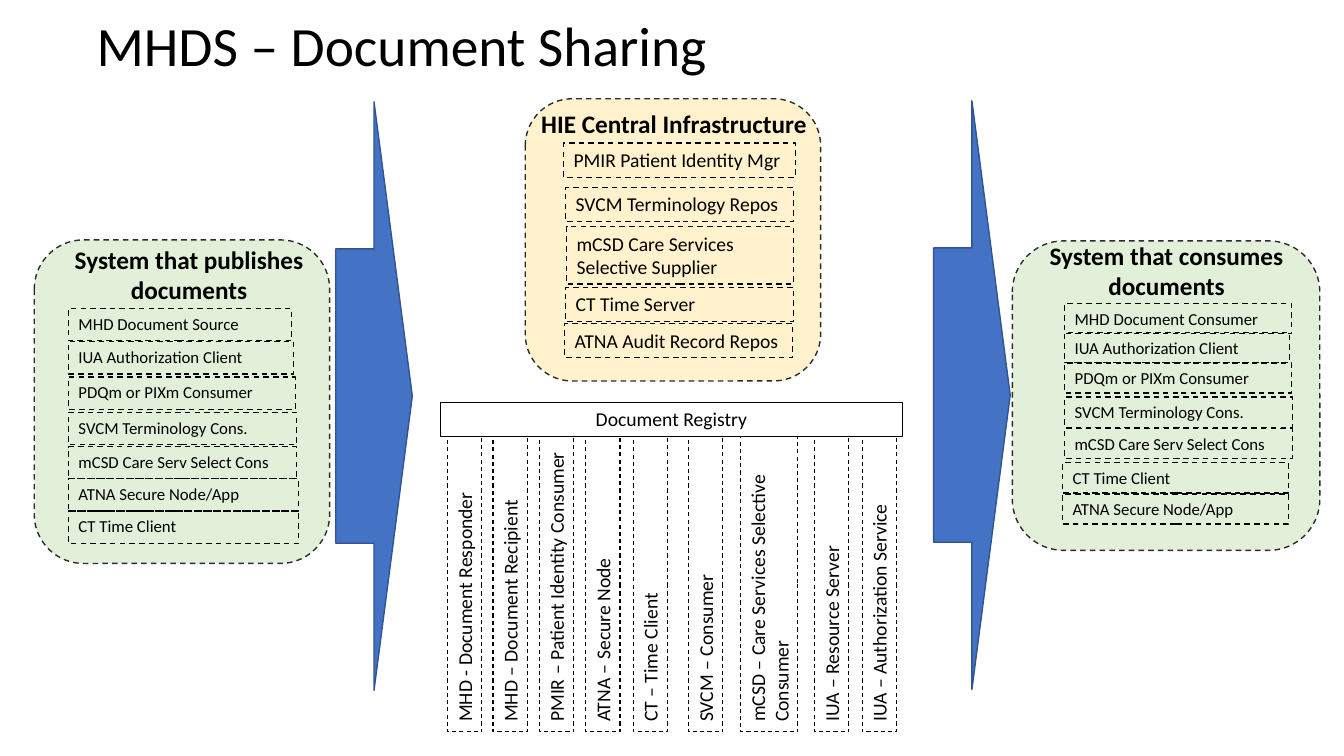
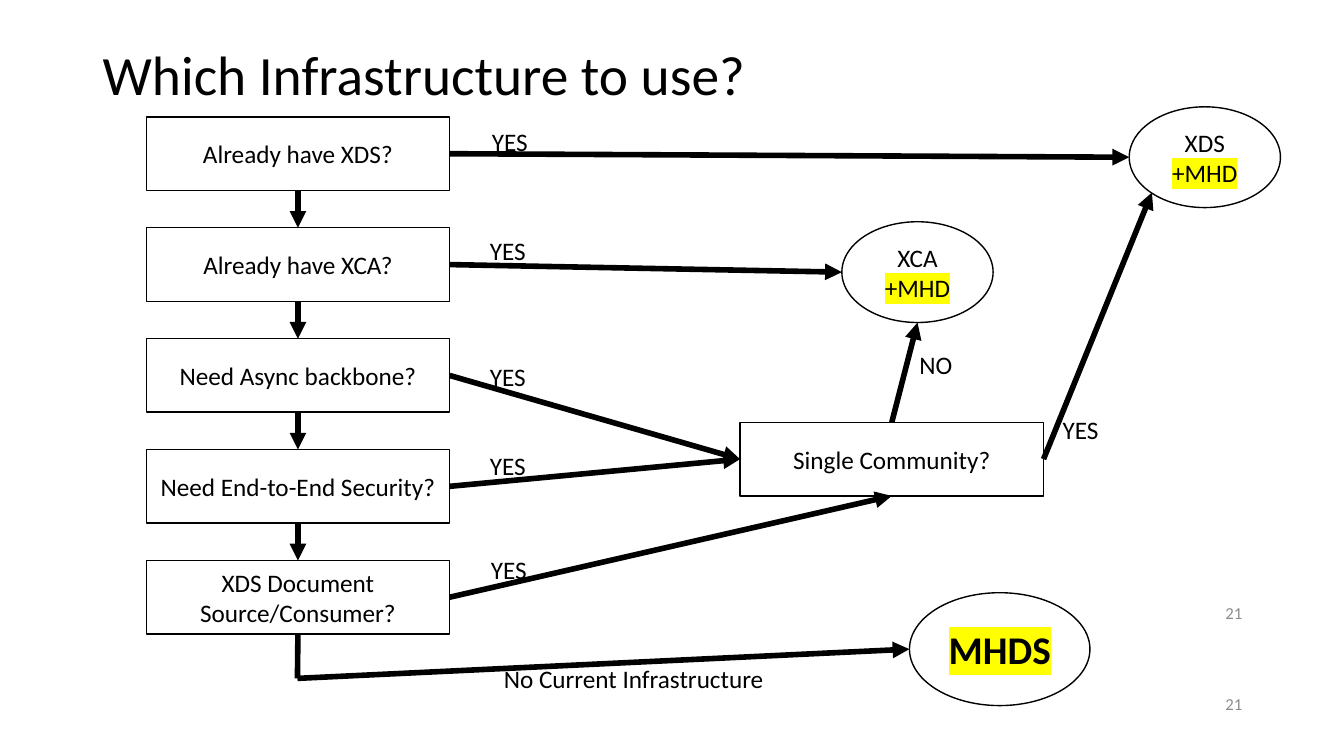
import dataclasses
import lxml.etree
import pptx
import pptx.dml.color
import pptx.enum.dml
import pptx.enum.shapes
import pptx.enum.text
import pptx.oxml.ns
import pptx.util

Inches = pptx.util.Inches
KIND = pptx.enum.shapes.MSO_SHAPE
ALIGN = pptx.enum.text.PP_ALIGN
ANCHOR = pptx.enum.text.MSO_ANCHOR
qn = pptx.oxml.ns.qn


@dataclasses.dataclass(frozen=True)
class Theme:
    """Holds the colours, font and type sizes of the deck."""
    font: str = "Calibri"
    ink: str = "000000"
    paper: str = "FFFFFF"
    grey: str = "8C8C8C"
    green: str = "E2F0D9"
    cream: str = "FFF2CC"
    blue: str = "4472C4"
    navy: str = "325491"
    mark: str = "FFFF00"
    title: float = 39.6
    large: int = 28
    head: int = 18
    item: int = 14
    small: int = 12


THEME = Theme()
RECT_SITES = {"top": (0, 0.5, 0), "left": (1, 0, 0.5), "base": (2, 0.5, 1), "right": (3, 1, 0.5)}
OVAL_SITES = {"left": (2, 0, 0.5), "low": (3, 0.15, 0.85), "base": (4, 0.5, 1)}


def paint(hue):
    """Turn a hex string into a colour."""
    return pptx.dml.color.RGBColor.from_string(hue)


def style(run, size, bold=False, hue=THEME.ink, glow=False):
    """Format one run, with a highlight if asked."""
    run.font.size = pptx.util.Pt(size)
    run.font.bold = bold
    run.font.color.rgb = paint(hue)
    run.font.name = THEME.font
    if glow:
        props = run.font.fill._xPr
        light = lxml.etree.Element(qn("a:highlight"))
        lxml.etree.SubElement(light, qn("a:srgbClr"), val=THEME.mark)
        props.find(qn("a:solidFill")).addnext(light)


def write(shape, text, size, bold=False, hue=THEME.ink, align=ALIGN.LEFT,
          anchor=ANCHOR.TOP, wrap=True):
    """Fill a shape with text in one style."""
    frame = shape.text_frame
    frame.text = text
    frame.word_wrap = wrap
    frame.vertical_anchor = anchor
    for para in frame.paragraphs:
        para.alignment = align
        for run in para.runs:
            style(run, size, bold, hue)


def label(slide, box, text, size=THEME.head, **look):
    """Add a text box."""
    shape = slide.shapes.add_textbox(*map(Inches, box))
    write(shape, text, size, **look)
    return shape


def block(slide, kind, box, fill=None, edge=THEME.ink, width=1, dash=False):
    """Add a preset shape with its fill and edge."""
    shape = slide.shapes.add_shape(kind, *map(Inches, box))
    shape.shadow.inherit = False
    if fill:
        shape.fill.solid()
        shape.fill.fore_color.rgb = paint(fill)
    else:
        shape.fill.background()
    shape.line.color.rgb = paint(edge)
    shape.line.width = pptx.util.Pt(width)
    if dash:
        shape.line.dash_style = pptx.enum.dml.MSO_LINE.DASH
    return shape


def title(slide, box, text):
    """Add the slide title."""
    shape = label(slide, box, text, THEME.title, anchor=ANCHOR.MIDDLE)
    shape.text_frame.paragraphs[0].line_spacing = 0.9


def panel(slide, box, fill, head, rows, size, tall):
    """Draw a rounded panel with a heading and dashed rows placed from its corner."""
    left, top = box[:2]
    shape = block(slide, KIND.ROUNDED_RECTANGLE, box, fill, dash=True)
    tint = shape.line.fill._xPr.find(qn("a:solidFill"))[0]
    lxml.etree.SubElement(tint, qn("a:alpha"), val="81000")
    text, (dx, dy, wide, high), align = head
    label(slide, (left + dx, top + dy, wide, high), text, bold=True, align=align,
          wrap=align == ALIGN.CENTER)
    for text, dx, dy, wide, *high in rows:
        row = block(slide, KIND.RECTANGLE,
                    (left + dx, top + dy, wide, high[0] if high else tall), dash=True)
        write(row, text, size)


def ledger(slide, box, name, roles):
    """Draw the registry bar with upright roles hanging below it."""
    left, top, wide, high = box
    bar = block(slide, KIND.RECTANGLE, box, width=0.75)
    write(bar, name, THEME.item, align=ALIGN.CENTER)
    span = 2.93
    mid = top + high + span / 2
    for text, dx, thick in roles:
        role = block(slide, KIND.RECTANGLE,
                     (left + dx - span / 2, mid - thick / 2, span, thick), width=0.75, dash=True)
        role.rotation = 270
        write(role, text, THEME.item)


def node(slide, box, text):
    """Draw a question box."""
    shape = block(slide, KIND.RECTANGLE, box, THEME.paper)
    write(shape, text, THEME.head, align=ALIGN.CENTER, anchor=ANCHOR.MIDDLE)
    return shape


def goal(slide, box, text, mark, size=THEME.head, bold=False):
    """Draw an oval outcome with a highlighted end."""
    shape = block(slide, KIND.OVAL, box, THEME.paper)
    write(shape, text, size, align=ALIGN.CENTER, anchor=ANCHOR.MIDDLE)
    run = shape.text_frame.paragraphs[0].add_run()
    run.text = mark
    style(run, size, bold, glow=True)
    return shape


def locate(end):
    """Give the point, shape and site of a connector end."""
    shape, side = end
    if isinstance(side, str):
        oval = shape.auto_shape_type == KIND.OVAL
        site, fx, fy = (OVAL_SITES if oval else RECT_SITES)[side]
        return int(shape.left + fx * shape.width), int(shape.top + fy * shape.height), shape, site
    return Inches(shape), Inches(side), None, None


def link(slide, start, stop, head=True):
    """Join two ends, each a shape with a side or a point."""
    ends = locate(start), locate(stop)
    line = slide.shapes.add_connector(pptx.enum.shapes.MSO_CONNECTOR.STRAIGHT,
                                      *ends[0][:2], *ends[1][:2])
    line.line.color.rgb = paint(THEME.ink)
    line.line.width = pptx.util.Pt(4)
    if head:
        lxml.etree.SubElement(line.line._get_or_add_ln(), qn("a:tailEnd"), type="triangle")
    lxml.etree.SubElement(line._element.spPr, qn("a:effectLst"))
    joint = line._element.find(".//" + qn("p:cNvCxnSpPr"))
    for tag, (_, _, shape, site) in zip(("a:stCxn", "a:endCxn"), ends):
        if shape is not None:
            lxml.etree.SubElement(joint, qn(tag), id=str(shape.shape_id), idx=str(site))


def share(slide):
    """Build the document sharing slide."""
    panel(slide, (5.21, 0.98, 2.93, 2.8), THEME.cream,
          ("HIE Central Infrastructure", (0.06, 0.05, 2.86, 0.4), ALIGN.LEFT),
          [("PMIR Patient Identity Mgr", 0.38, 0.44, 2.3),
           ("SVCM Terminology Repos", 0.4, 0.88, 2.26),
           ("mCSD Care Services Selective Supplier", 0.41, 1.27, 2.25, 0.57),
           ("CT Time Server", 0.4, 1.87, 2.26),
           ("ATNA Audit Record Repos", 0.39, 2.23, 2.26)], THEME.item, 0.34)
    panel(slide, (0.34, 2.38, 2.93, 3.21), THEME.green,
          ("System that publishes documents", (-0.16, -0.01, 3.39, 0.71), ALIGN.CENTER),
          [("MHD Document Source", 0.34, 0.68, 2.21),
           ("IUA Authorization Client", 0.34, 1.01, 2.23),
           ("PDQm or PIXm Consumer", 0.34, 1.36, 2.25),
           ("SVCM Terminology Cons.", 0.34, 1.71, 2.26),
           ("mCSD Care Serv Select Cons", 0.34, 2.05, 2.26),
           ("ATNA Secure Node/App", 0.34, 2.37, 2.28),
           ("CT Time Client", 0.34, 2.69, 2.28)], THEME.small, 0.32)
    panel(slide, (10.04, 2.39, 3.05, 3.07), THEME.green,
          ("System that consumes\ndocuments", (-0.05, -0.06, 3.16, 0.71), ALIGN.CENTER),
          [("MHD Document Consumer", 0.52, 0.62, 2.25),
           ("IUA Authorization Client", 0.52, 0.91, 2.23),
           ("PDQm or PIXm Consumer", 0.52, 1.21, 2.25),
           ("SVCM Terminology Cons.", 0.52, 1.55, 2.26),
           ("mCSD Care Serv Select Cons", 0.52, 1.86, 2.26),
           ("CT Time Client", 0.5, 2.2, 2.24),
           ("ATNA Secure Node/App", 0.5, 2.51, 2.24)], THEME.small, 0.3)
    ledger(slide, (4.37, 3.99, 4.58, 0.34), "Document Registry",
           [("MHD - Document Responder", 0.24, 0.34),
            ("MHD – Document Recipient", 0.69, 0.34),
            ("PMIR – Patient Identity Consumer", 1.15, 0.34),
            ("ATNA – Secure Node", 1.61, 0.34),
            ("CT – Time Client", 2.08, 0.34),
            ("SVCM – Consumer", 2.63, 0.34),
            ("mCSD – Care Services Selective Consumer", 3.26, 0.57),
            ("IUA – Resource Server", 3.88, 0.34),
            ("IUA – Authorization Service", 4.35, 0.34)])
    for left, top in ((3.33, 1.01), (9.26, 1)):
        block(slide, KIND.RIGHT_ARROW, (left, top, 0.76, 5.84), THEME.blue, THEME.navy)
    title(slide, (0.86, 0.21, 11.5, 0.54), "MHDS – Document Sharing")


def ladder(slide, box, step, asks):
    """Stack question boxes at an equal step and join them downward."""
    left, top, wide, high = box
    nodes = [node(slide, (left, top + i * step, wide, high), ask) for i, ask in enumerate(asks)]
    for upper, lower in zip(nodes, nodes[1:]):
        link(slide, (upper, "base"), (lower, "top"))
    return nodes


def choose(slide):
    """Build the decision slide."""
    title(slide, (0.92, 0.4, 11.9, 0.73), "Which Infrastructure to use?")
    for top in (5.88, 6.78):
        label(slide, (9.42, top, 3, 0.4), "21", THEME.small, hue=THEME.grey,
              align=ALIGN.RIGHT, anchor=ANCHOR.MIDDLE)
    wide, high = 3.01, 0.73
    nodes = ladder(slide, (1.45, 1.16, wide, high), 1.1,
                   ["Already have XDS?", "Already have XCA?", "Need Async backbone?",
                    "Need End-to-End Security?", "XDS Document Source/Consumer?"])
    xds = goal(slide, (11.2, 1.06, 1.5, 1), "XDS ", "+MHD")
    xca = goal(slide, (8.35, 2.2, 1.5, 1), "XCA ", "+MHD")
    mhds = goal(slide, (9.02, 5.88, 1.79, 1.12), "", "MHDS", THEME.large, True)
    single = node(slide, (7.34, 4.19, wide, high), "Single Community?")
    none = node(slide, (4.78, 6.37, wide, high), "No Current Infrastructure")
    none.line.color.rgb = paint(THEME.paper)
    ends = [(xds, "left"), (xca, "left"), (single, "left"), (single, "left"), (single, "base")]
    for ask, end in zip(nodes, ends):
        link(slide, (ask, "right"), end)
    link(slide, (single, "right"), (xds, "low"))
    link(slide, (single, "top"), (xca, "base"))
    bend = (2.95, 6.73)
    link(slide, (nodes[-1], "base"), bend, head=False)
    link(slide, bend, (mhds, "left"))
    for left, top, text in ((4.78, 1.2, "YES"), (4.76, 2.29, "YES"), (4.76, 3.54, "YES"),
                            (4.76, 4.42, "YES"), (4.77, 5.45, "YES"), (10.44, 4.06, "YES"),
                            (9.02, 3.42, "NO")):
        label(slide, (left, top, 0.56, 0.4), text, wrap=False)


def main():
    """Build and save the deck."""
    deck = pptx.Presentation()
    deck.slide_width, deck.slide_height = Inches(13.33), Inches(7.5)
    for build in (share, choose):
        build(deck.slides.add_slide(deck.slide_layouts[6]))
    deck.save("out.pptx")


if __name__ == "__main__":
    main()
